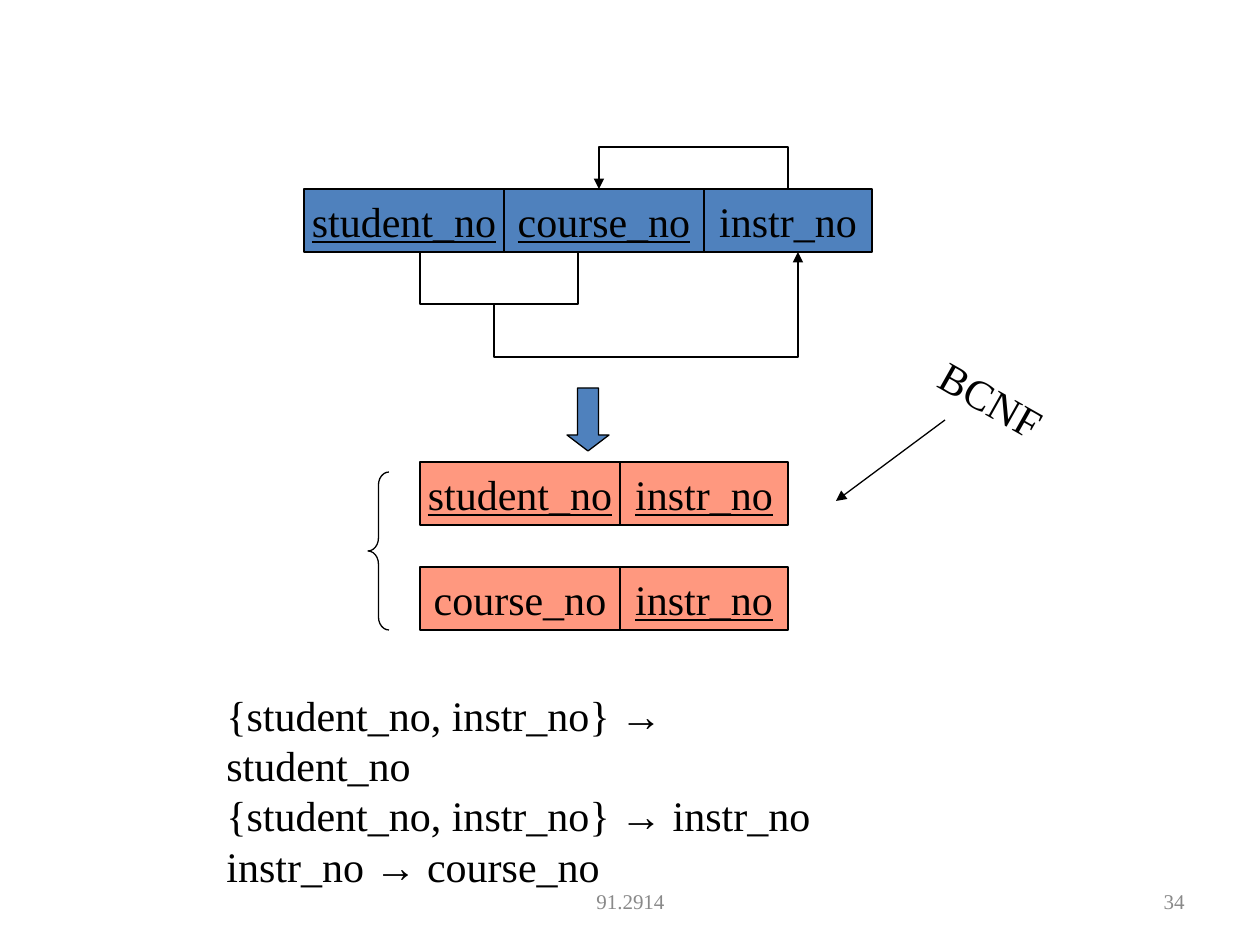
from lxml import etree
from pptx import Presentation
from pptx import util as u
from pptx.dml.color import RGBColor
from pptx.enum import shapes, text
from pptx.oxml import ns

SCALE = 914400 / 126
SERIF = "Times New Roman"
LEFT, MID, RIGHT = text.PP_ALIGN.LEFT, text.PP_ALIGN.CENTER, text.PP_ALIGN.RIGHT


def px(*nums):
    return [round(n * SCALE) for n in nums]


def style(font, size, color, face=SERIF, under=None):
    font.size, font.name, font.underline = u.Pt(size), face, under
    font.color.rgb = RGBColor.from_string(color)


prs = Presentation()
prs.slide_width, prs.slide_height = px(1260, 945)
slide = prs.slides.add_slide(prs.slide_layouts[6])
items = slide.shapes

labels = [
    ("91.2914", (431, 876, 399, 50), 12, "898989", MID, 0),
    ("34", (904, 876, 293, 50), 12, "898989", RIGHT, 0),
    ("BCNF", (924, 368, 135, 63), 24, "000000", LEFT, 29.4),
]
for word, area, size, color, align, turn in labels:
    box = items.add_textbox(*px(*area))
    box.rotation = turn
    frame = box.text_frame
    frame.word_wrap = not turn
    frame.vertical_anchor = text.MSO_ANCHOR.TOP if turn else text.MSO_ANCHOR.MIDDLE
    para = frame.paragraphs[0]
    para.text, para.alignment = word, align
    style(para.font, size, color)

widths = {"student_no": 200, "course_no": 200, "instr_no": 168}
tables = [
    (420, 567, "FF3300", 50, ["course_no", "instr_no"], ["instr_no"]),
    (420, 462, "FF3300", 50, ["student_no", "instr_no"], ["student_no", "instr_no"]),
    (304, 189, "4F81BD", 100, ["student_no", "course_no", "instr_no"], ["student_no", "course_no"]),
]
drawn = []
for left, top, color, solid, names, keys in tables:
    for name in names:
        cell = items.add_shape(shapes.MSO_SHAPE.RECTANGLE, *px(left, top, widths[name], 63))
        left += widths[name]
        cell.fill.solid()
        cell.fill.fore_color.rgb = RGBColor.from_string(color)
        if solid < 100:
            tint = cell.fill._xPr.find(ns.qn("a:solidFill"))[0]
            etree.SubElement(tint, ns.qn("a:alpha"), val=str(solid * 1000))
        frame = cell.text_frame
        frame.word_wrap = False
        frame.vertical_anchor = text.MSO_ANCHOR.MIDDLE
        para = frame.paragraphs[0]
        para.text, para.alignment = name, MID
        style(para.font, 24, "000000", under=name in keys)
        drawn.append((cell, False))

paths = [
    ([(420, 252), (420, 304), (578, 304), (578, 252)], False),
    ([(494, 304), (494, 357), (798, 357), (798, 252)], True),
    ([(788, 189), (788, 147), (599, 147), (599, 189)], True),
]
for points, head in paths:
    start, *rest = [px(*point) for point in points]
    pen = items.build_freeform(*start)
    pen.add_line_segments(rest, close=False)
    path = pen.convert_to_shape()
    path.fill.background()
    drawn.append((path, head))

arrow = items.add_shape(shapes.MSO_SHAPE.DOWN_ARROW, *px(567, 388, 42, 63))
arrow.adjustments[0], arrow.adjustments[1] = 0.5, 0.38
arrow.fill.solid()
arrow.fill.fore_color.rgb = RGBColor.from_string("4F81BD")
brace = items.add_shape(shapes.MSO_SHAPE.LEFT_BRACE, *px(368, 472, 21, 158))
brace.adjustments[0] = 0.62
brace.fill.background()
line = items.add_connector(shapes.MSO_CONNECTOR.STRAIGHT, *px(945, 420, 836, 501))
drawn += [(arrow, False), (brace, False), (line, True)]

for item, head in drawn:
    item.line.width = u.Pt(0.75)
    item.line.color.rgb = RGBColor.from_string("000000")
    if head:
        etree.SubElement(item.line._get_or_add_ln(), ns.qn("a:tailEnd"), type="triangle")
    if item is line:
        etree.SubElement(item._element.spPr, ns.qn("a:effectLst"))
    else:
        item.shadow.inherit = False

rules = [
    ("{student_no, instr_no} ", " student_no"),
    ("{student_no, instr_no} ", " instr_no"),
    ("instr_no ", " course_no"),
]
box = items.add_textbox(*px(214, 683, 648, 164))
frame = box.text_frame
frame.word_wrap = True
frame.margin_right = px(40)[0]
for i, (given, found) in enumerate(rules):
    para = frame.add_paragraph() if i else frame.paragraphs[0]
    for word, face in [(given, SERIF), ("→", "Arial"), (found, SERIF)]:
        run = para.add_run()
        run.text = word
        style(run.font, 24, "000000", face)

prs.save("out.pptx")
